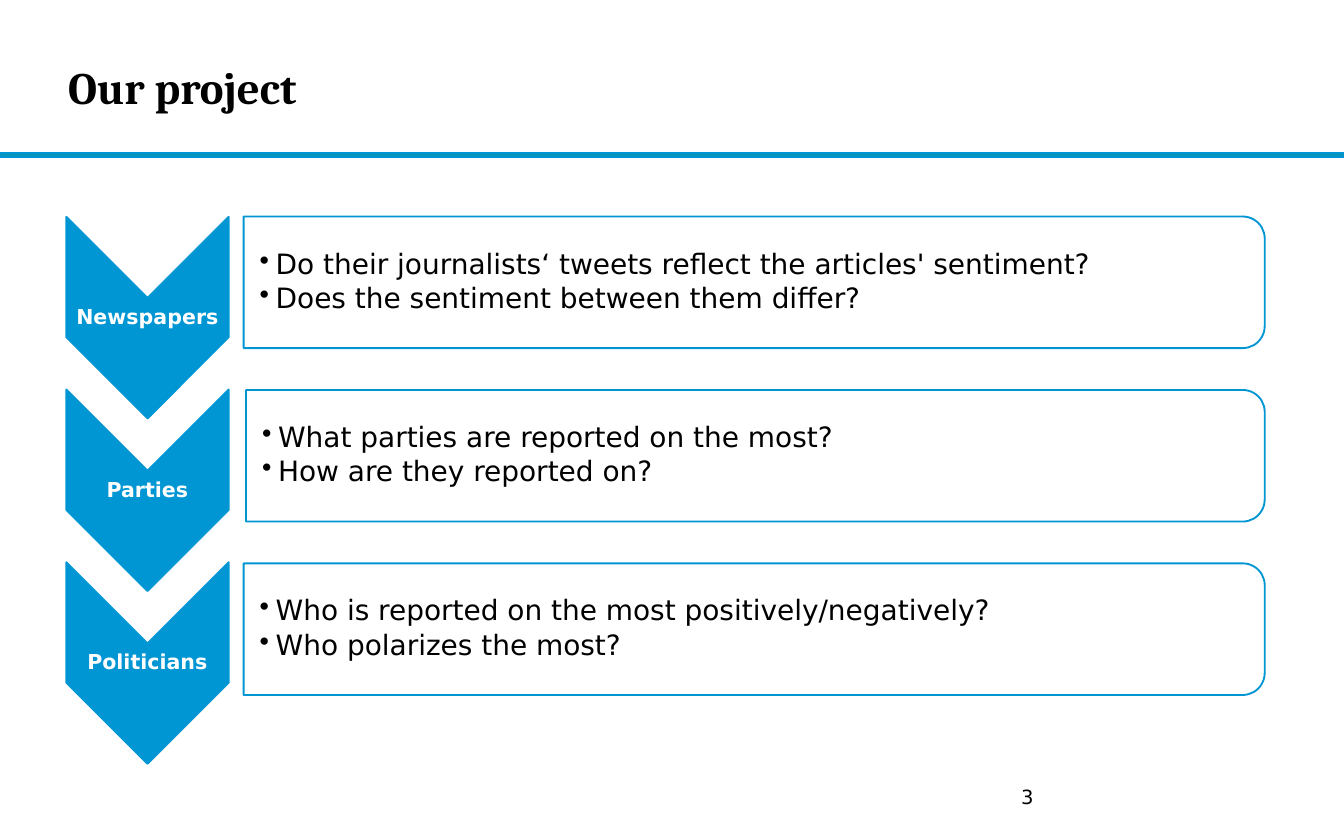
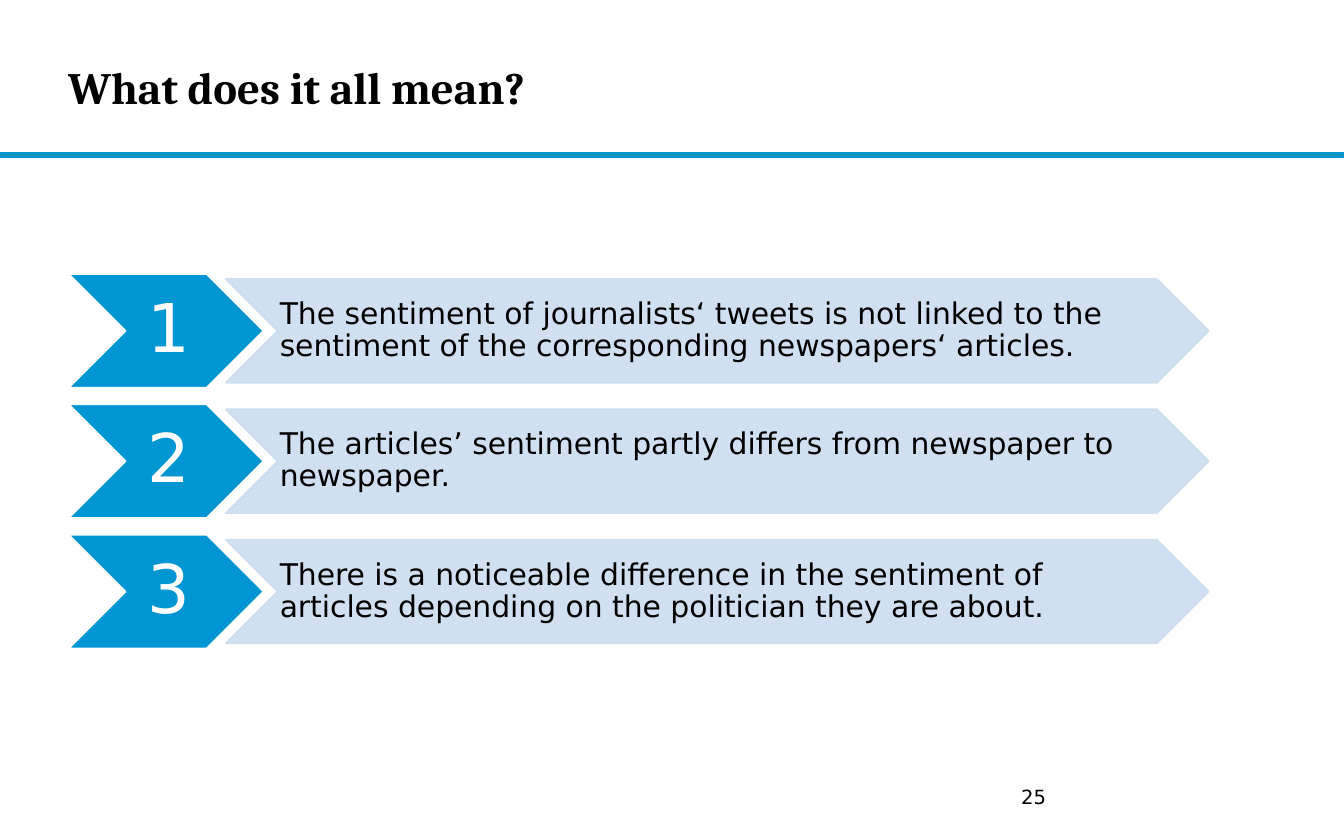
from lxml.etree import SubElement
from pptx import Presentation
from pptx.dml.color import RGBColor
from pptx.enum.shapes import MSO_SHAPE
from pptx.enum.text import MSO_ANCHOR, MSO_AUTO_SIZE, PP_ALIGN
from pptx.oxml.ns import qn
from pptx.util import Pt

PROJECT = {
    "title": "Our project",
    "number": "3",
    # topic, left edge of its panel, questions
    "rows": [
        ("Newspapers", 130.5, ["Do their journalists‘ tweets reflect the articles' sentiment?",
                               "Does the sentiment between them differ?"]),
        ("Parties", 131.8, ["What parties are reported on the most?",
                            "How are they reported on?"]),
        ("Politicians", 130.5, ["Who is reported on the most positively/negatively?",
                                "Who polarizes the most?"]),
    ],
}
MEANING = {
    "title": "What does it all mean?",
    "number": "25",
    "findings": [
        "The sentiment of journalists‘ tweets is not linked to the sentiment of the "
        "corresponding newspapers‘ articles.",
        "The articles’ sentiment partly differs from newspaper to newspaper.",
        "There is a noticeable difference in the sentiment of articles depending on the "
        "politician they are about.",
    ],
}
COLORS = {"blue": "0096D3", "rule": "0C94B7", "pale": "CCDDEF", "white": "FFFFFF", "black": "000000"}
TITLE_FONT, BODY_FONT = "Cambria", "DejaVu Sans"
WIDTH, HEIGHT = 720, 450


def rgb(name):
    return RGBColor.from_string(COLORS[name])


def write(tf, texts, size=15, font=BODY_FONT, color="black", bold=False, align=PP_ALIGN.LEFT,
          anchor=MSO_ANCHOR.MIDDLE, insets=(0, 0, 0, 0), spacing=0.9, after=0, bullet_indent=0):
    tf.word_wrap = True
    tf.auto_size = MSO_AUTO_SIZE.NONE
    tf.vertical_anchor = anchor
    tf.margin_left, tf.margin_top, tf.margin_right, tf.margin_bottom = map(Pt, insets)
    for i, text in enumerate(texts):
        p = tf.add_paragraph() if i else tf.paragraphs[0]
        p.alignment, p.line_spacing, p.space_after = align, spacing, Pt(after)
        if bullet_indent:
            pPr = p._p.get_or_add_pPr()
            pPr.set("marL", str(Pt(bullet_indent)))
            pPr.set("indent", str(-Pt(bullet_indent)))
            SubElement(pPr, qn("a:buChar"), char="•")
        r = p.add_run()
        r.text = text
        r.font.name, r.font.size, r.font.bold = font, Pt(size), bold
        r.font.color.rgb = rgb(color)


def add_text(s, box, texts, **fmt):
    write(s.shapes.add_textbox(*map(Pt, box)).text_frame, texts, **fmt)


def set_opacity(paint, percent):
    """Make a solid fill partly transparent."""
    clr = paint._xPr.find(qn("a:solidFill"))[0]
    SubElement(clr, qn("a:alpha"), val=str(percent * 1000))


def add_shape(s, kind, box, fill, line, opacity=100, turned=False):
    """Draw a shape that covers box; a turned one is rotated a quarter clockwise."""
    x, y, w, h = box
    if turned:
        x, y, w, h = x + (w - h) / 2, y + (h - w) / 2, h, w
    sp = s.shapes.add_shape(kind, Pt(x), Pt(y), Pt(w), Pt(h))
    sp.rotation = 90 if turned else 0
    sp.shadow.inherit = False
    sp.fill.solid()
    sp.fill.fore_color.rgb = rgb(fill)
    sp.line.color.rgb = rgb(line)
    sp.line.width = Pt(1)
    if opacity < 100:
        set_opacity(sp.fill, opacity)
        if line == fill:
            set_opacity(sp.line.fill, opacity)
    return sp


def add_slide(prs, content):
    s = prs.slides.add_slide(prs.slide_layouts[5])
    add_shape(s, MSO_SHAPE.RECTANGLE, (0, 82, WIDTH, 2), "rule", "blue")
    title = s.shapes.title
    title.left, title.top, title.width, title.height = map(Pt, (36.5, 11, 538.5, 71))
    write(title.text_frame, [content["title"]], size=24, font=TITLE_FONT, bold=True, spacing=1.0)
    add_text(s, (540, 417, 39, 20), [content["number"]], size=10.5, anchor=MSO_ANCHOR.TOP,
             insets=(7.2, 3.6, 7.2, 3.6), spacing=1.0)
    return s


def build_project(prs):
    s = add_slide(prs, PROJECT)
    left, chevron_w, chevron_h, panel_right, panel_h = 35.5, 87, 108, 677.5, 70.5
    for i, (topic, panel_left, questions) in enumerate(PROJECT["rows"]):
        top, panel_top = 116.2 + 92.5 * i, 116 + 92.9 * i
        add_shape(s, MSO_SHAPE.CHEVRON, (left, top, chevron_w, chevron_h), "blue", "blue", turned=True)
        add_text(s, (left, top + (chevron_h - 21) / 2, chevron_w, 21), [topic], size=11,
                 color="white", bold=True, align=PP_ALIGN.CENTER, insets=(0.7,) * 4)
        panel_w = panel_right - panel_left
        add_shape(s, MSO_SHAPE.ROUND_2_SAME_RECTANGLE, (panel_left, panel_top, panel_w, panel_h),
                  "white", "blue", opacity=90, turned=True)
        add_text(s, (panel_left, panel_top + 3.5, panel_w - 3.5, panel_h - 7), questions,
                 insets=(8.6, 0.7, 0.7, 0.7), after=2.25, bullet_indent=8.6)


def build_meaning(prs):
    s = add_slide(prs, MEANING)
    chevron_h, band_h = 61, 55.5
    for i, finding in enumerate(MEANING["findings"]):
        top = 146.8 + 69.8 * i
        band_top = top + (chevron_h - band_h) / 2
        add_shape(s, MSO_SHAPE.CHEVRON, (36.7, top, 104.5, chevron_h), "blue", "white")
        add_text(s, (67, top, 43, chevron_h), [str(i + 1)], size=36, color="white",
                 align=PP_ALIGN.CENTER, insets=(3.6, 2.2, 0, 2.2))
        add_shape(s, MSO_SHAPE.CHEVRON, (121, band_top, 526.5, band_h), "pale", "pale", opacity=90)
        add_text(s, (148.5, band_top, 471, band_h), [finding], size=16, insets=(1.4, 0.7, 0, 0.7))


def main():
    prs = Presentation()
    prs.slide_width, prs.slide_height = Pt(WIDTH), Pt(HEIGHT)
    build_project(prs)
    build_meaning(prs)
    prs.save("out.pptx")


if __name__ == "__main__":
    main()
